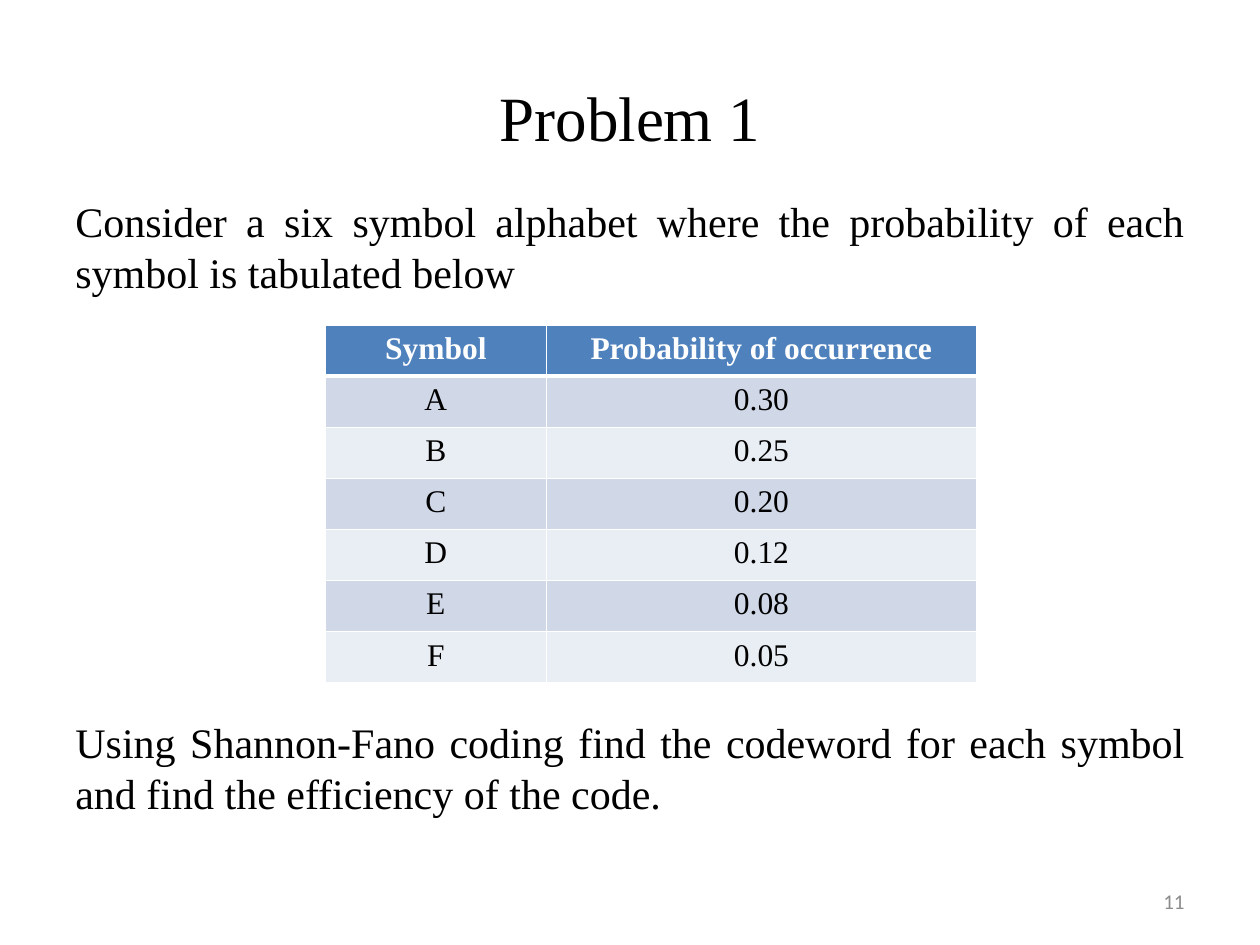
from dataclasses import dataclass
from itertools import product

from lxml.etree import SubElement
from pptx import Presentation
from pptx.dml.color import RGBColor
from pptx.enum.text import MSO_ANCHOR, PP_ALIGN
from pptx.oxml.ns import qn
from pptx.slide import Slide
from pptx.util import Inches, Pt

WIDTH, HEIGHT = 10, 7.5
COLUMNS = ROWS = 20


def color(value):
    return RGBColor.from_string(value)


def place(column, row, columns, rows):
    across, down = WIDTH / COLUMNS, HEIGHT / ROWS
    return [Inches(round(length, 2)) for length in
            (column * across, row * down, columns * across, rows * down)]


@dataclass
class Sheet:
    slide: Slide
    font: str = "Times New Roman"
    ink: str = "000000"
    paper: str = "FFFFFF"
    header: str = "4F81BD"
    bands: tuple = ("D0D8E8", "E9EDF4")

    def format(self, para, size, align, ink=None, font=None, bold=False):
        para.alignment = align
        for span in para.runs:
            span.font.name = font or self.font
            span.font.size = Pt(size)
            span.font.bold = bold
            span.font.color.rgb = color(ink or self.ink)

    def text(self, area, lines, size, align, anchor=MSO_ANCHOR.MIDDLE,
             pitch=None, gap=0, **style):
        frame = self.slide.shapes.add_textbox(*place(*area)).text_frame
        frame.word_wrap = True
        frame.vertical_anchor = anchor
        frame.text = "\n".join(lines)
        for index, para in enumerate(frame.paragraphs):
            self.format(para, size, align, **style)
            para.space_before = Pt(gap if index else 0)
            if pitch:
                para.line_spacing = Pt(pitch)

    def border(self, cell, side, width):
        line = SubElement(cell._tc.get_or_add_tcPr(), qn(f"a:ln{side}"), w=str(Pt(width)))
        fill = SubElement(line, qn("a:solidFill"))
        SubElement(fill, qn("a:srgbClr"), val=self.paper)

    def table(self, area, records, shares, size):
        left, top, width, height = place(*area)
        grid = self.slide.shapes.add_table(
            len(records), len(shares), left, top, width, height).table
        for column, share in zip(grid.columns, shares):
            column.width = int(width * share)
        for row, column in product(range(len(records)), range(len(shares))):
            cell = grid.cell(row, column)
            cell.text = records[row][column]
            heading = row == 0
            self.format(cell.text_frame.paragraphs[0], size, PP_ALIGN.CENTER,
                        ink=self.paper if heading else self.ink, bold=heading)
            for side in "LRTB":
                thick = (row, side) in ((0, "B"), (1, "T"))
                self.border(cell, side, 3 if thick else 1)
            cell.fill.solid()
            cell.fill.fore_color.rgb = color(
                self.header if heading else self.bands[(row - 1) % 2])


def main():
    deck = Presentation()
    deck.slide_width, deck.slide_height = Inches(WIDTH), Inches(HEIGHT)
    page = Sheet(deck.slides.add_slide(deck.slide_layouts[6]))
    page.text((1, 0.8, 18, 3.33), ["Problem 1"], 36, PP_ALIGN.CENTER)
    page.text((1, 4, 18, 13.87), [
        "Consider a six symbol alphabet where the probability of each symbol is tabulated below",
        "Using Shannon-Fano coding find the codeword for each symbol and find the efficiency of the code.",
    ], 24, PP_ALIGN.JUSTIFY, anchor=MSO_ANCHOR.TOP, pitch=29.2, gap=239)
    chances = zip("ABCDEF", ("0.30", "0.25", "0.20", "0.12", "0.08", "0.05"))
    page.table((5.16, 6.88, 10.34, 7.57),
               [("Symbol", "Probability of occurrence"), *chances], (0.34, 0.66), 18)
    page.text((14.34, 18.53, 4.66, 1.07), ["11"], 12, PP_ALIGN.RIGHT,
              ink="8C8C8C", font="Calibri")
    deck.save("out.pptx")


if __name__ == "__main__":
    main()
